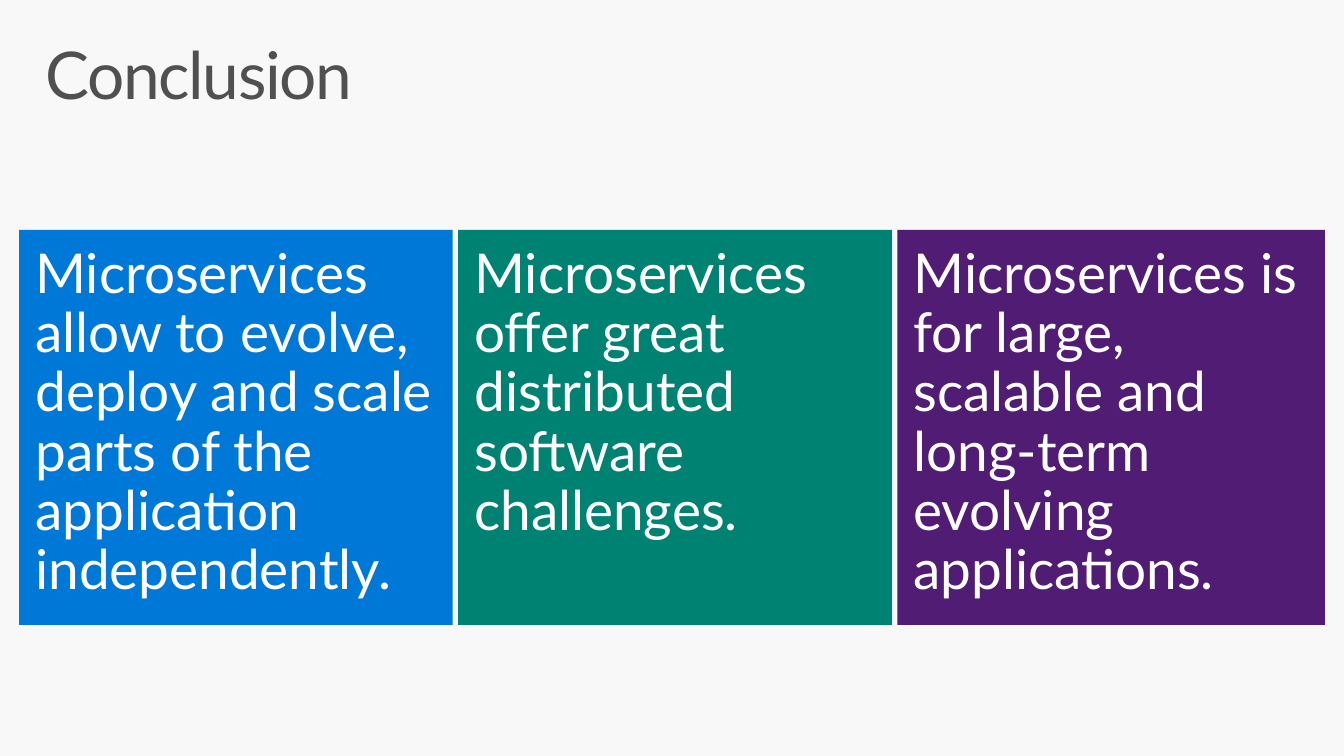
"""Build the conclusion slide: a title above three coloured takeaway panels."""
from lxml import etree
from pptx import Presentation
from pptx.dml.color import RGBColor
from pptx.enum.text import MSO_ANCHOR, MSO_AUTO_SIZE, PP_ALIGN
from pptx.oxml.ns import qn
from pptx.util import Inches, Pt

TOP, NO_FIT, LEFT = MSO_ANCHOR.TOP, MSO_AUTO_SIZE.NONE, PP_ALIGN.LEFT
PAPER = RGBColor(0xF8, 0xF8, 0xF8)
GREY = RGBColor(0x50, 0x50, 0x50)
WHITE = RGBColor(0xFF, 0xFF, 0xFF)
BLUE = RGBColor(0x00, 0x78, 0xD7)
TEAL = RGBColor(0x00, 0x82, 0x72)
PURPLE = RGBColor(0x51, 0x1C, 0x74)

HEADING = "Conclusion"
TAKEAWAYS = [
    ("Microservices allow to evolve, deploy and scale parts of the application independently.", BLUE, 4.3),
    ("Microservices offer great distributed software challenges.", TEAL, 4.3),
    ("Microservices is for large, scalable and long-term evolving applications.", PURPLE, 4.24),
]

SLIDE_WIDTH, SLIDE_HEIGHT = 13.33, 7.5
PANEL_LEFT, PANEL_TOP, PANEL_HEIGHT = 0.19, 2.28, 3.92
PANEL_PITCH = 4.355
SIDE_INSET = 0.16
COMPARISON_LAYOUT = 4


def fill_placeholder(holder, text, box, *, size, color, inset, spacing=0):
    """Place a placeholder and set its text in the slide's format."""
    holder.left, holder.top, holder.width, holder.height = map(Inches, box)
    frame = holder.text_frame
    frame.word_wrap = True
    frame.auto_size = NO_FIT
    frame.vertical_anchor = TOP
    frame.margin_left = frame.margin_right = Inches(SIDE_INSET)
    frame.margin_top = frame.margin_bottom = Inches(inset)
    frame.text = text
    paragraph = frame.paragraphs[0]
    paragraph.alignment = LEFT
    paragraph.line_spacing = 0.9
    paragraph.space_before = Pt(0)
    properties = paragraph._p.get_or_add_pPr()
    properties.set("marL", "0")
    properties.set("indent", "0")
    etree.SubElement(properties, qn("a:buNone"))
    run = paragraph.runs[0]
    run.font.name = "Lato"
    run.font.size = Pt(size)
    run.font.bold = False
    run.font.color.rgb = color
    if spacing:
        run._r.get_or_add_rPr().set("spc", str(spacing * 100))


def main():
    """Create the slide and save it."""
    deck = Presentation()
    deck.slide_width, deck.slide_height = Inches(SLIDE_WIDTH), Inches(SLIDE_HEIGHT)
    slide = deck.slides.add_slide(deck.slide_layouts[COMPARISON_LAYOUT])
    slide.background.fill.solid()
    slide.background.fill.fore_color.rgb = PAPER

    title, *panels = slide.placeholders
    fill_placeholder(title, HEADING, (0.29, 0.32, 12.75, 0.98),
                     size=47, color=GREY, inset=0.1, spacing=-1)
    for column, (panel, (text, color, width)) in enumerate(zip(panels, TAKEAWAYS)):
        box = (PANEL_LEFT + column * PANEL_PITCH, PANEL_TOP, width, PANEL_HEIGHT)
        fill_placeholder(panel, text, box, size=39.2, color=WHITE, inset=SIDE_INSET)
        panel.fill.solid()
        panel.fill.fore_color.rgb = color
    for spare in panels[len(TAKEAWAYS):]:
        spare.element.getparent().remove(spare.element)

    deck.save("out.pptx")


if __name__ == "__main__":
    main()
